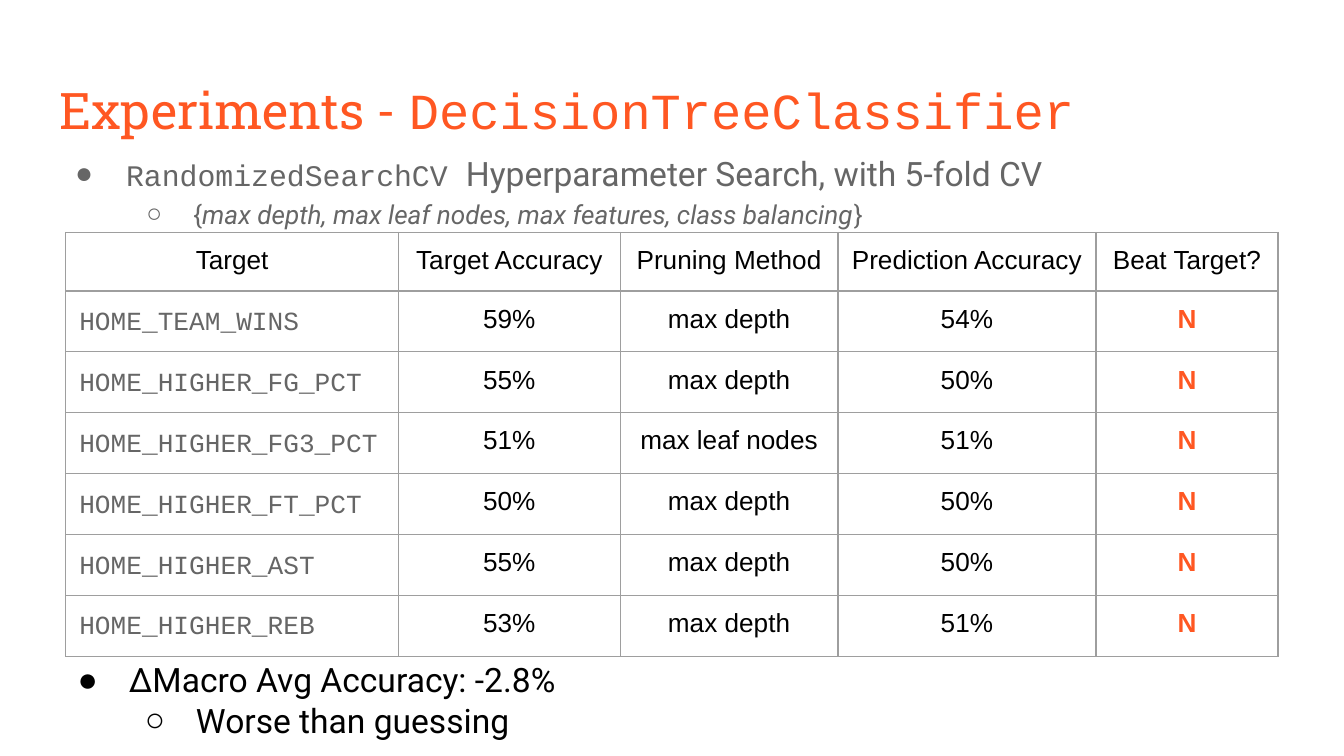
from dataclasses import dataclass

from lxml import etree
from pptx import Presentation, util as u
from pptx.dml.color import RGBColor
from pptx.enum import text
from pptx.oxml import ns

TITLE = [("Experiments - ", "title"), ("DecisionTreeClassifier", "title_code")]
SEARCH = [
    (0, [("RandomizedSearchCV ", "code"), ("Hyperparameter Search, with 5-fold CV", "lead")]),
    (1, [("{", "detail"),
         ("max depth, max leaf nodes, max features, class balancing", "detail_italic"),
         ("}", "detail")]),
]
CONCLUSION = [
    (0, [("ΔMacro Avg Accuracy: -2.8%", "result")]),
    (1, [("Worse than guessing", "result")]),
]
HEADER = ["Target", "Target Accuracy", "Pruning Method", "Prediction Accuracy", "Beat Target?"]
EXPERIMENTS = [
    ("HOME_TEAM_WINS", "59%", "max depth", "54%", "N"),
    ("HOME_HIGHER_FG_PCT", "55%", "max depth", "50%", "N"),
    ("HOME_HIGHER_FG3_PCT", "51%", "max leaf nodes", "51%", "N"),
    ("HOME_HIGHER_FT_PCT", "50%", "max depth", "50%", "N"),
    ("HOME_HIGHER_AST", "55%", "max depth", "50%", "N"),
    ("HOME_HIGHER_REB", "53%", "max depth", "51%", "N"),
]

PX = 4572
SLIDE_SIZE = (2000, 1125)
TITLE_BOX = (68, 98, 1864, 126)
SEARCH_BOX = (68, 199, 1864, 800)
CONCLUSION_BOX = (72, 961, 1856, 162)
TABLE_ORIGIN = (98, 346)
COLUMN_WIDTHS = [495, 330, 324, 384, 271]
ROW_HEIGHT = 87
INSET = 20
LEVEL_INDENT = 100


@dataclass(frozen=True)
class Style:
    font: str
    size: int
    color: str
    bold: bool = False
    italic: bool = False


ACCENT, GRAY, BLACK, BORDER = "FF5722", "666666", "000000", "9E9E9E"
BULLET_FONT = "Arial"
THEME = {
    "title": Style("Roboto Slab", 27, ACCENT),
    "title_code": Style("Courier New", 27, ACCENT),
    "code": Style("Courier New", 16, GRAY),
    "lead": Style("Roboto", 18, GRAY),
    "detail": Style("Roboto", 14, GRAY),
    "detail_italic": Style("Roboto", 14, GRAY, italic=True),
    "result": Style("Roboto", 18, BLACK),
    "cell": Style("Arial", 14, BLACK),
    "target": Style("Courier New", 14, GRAY),
    "verdict": Style("Arial", 14, ACCENT, bold=True),
}


def px(length):
    return u.Emu(length * PX)


def format_run(run, style_name):
    style = THEME[style_name]
    font = run.font
    font.name, font.size = style.font, u.Pt(style.size)
    font.bold, font.italic = style.bold, style.italic
    font.color.rgb = RGBColor.from_string(style.color)


def add_runs(paragraph, runs):
    for words, style_name in runs:
        run = paragraph.add_run()
        run.text = words
        format_run(run, style_name)


def add_child(parent, tag, **attributes):
    return etree.SubElement(parent, ns.qn(tag), attributes)


def set_insets(frame):
    frame.margin_left = frame.margin_right = px(INSET)
    frame.margin_top = frame.margin_bottom = px(INSET)


def prepare_frame(shape):
    frame = shape.text_frame
    frame.word_wrap = True
    frame.auto_size = text.MSO_AUTO_SIZE.NONE
    frame.vertical_anchor = text.MSO_ANCHOR.TOP
    set_insets(frame)
    return frame


def add_bullets(slide, box, items, hangings, spacing):
    frame = prepare_frame(slide.shapes.add_textbox(*map(px, box)))
    for index, (level, runs) in enumerate(items):
        paragraph = frame.paragraphs[0] if index == 0 else frame.add_paragraph()
        paragraph.level = level
        paragraph.line_spacing = spacing
        add_runs(paragraph, runs)
        properties = paragraph._p.get_or_add_pPr()
        properties.set("marL", str(px(LEVEL_INDENT * (level + 1))))
        properties.set("indent", str(px(-hangings[level])))
        color = add_child(properties, "a:buClr")
        add_child(color, "a:srgbClr", val=THEME[runs[-1][1]].color)
        add_child(properties, "a:buFont", typeface=BULLET_FONT)
        add_child(properties, "a:buChar", char="●○"[level])


def add_borders(cell):
    properties = cell._tc.get_or_add_tcPr()
    for side in ("a:lnL", "a:lnR", "a:lnT", "a:lnB"):
        line = add_child(properties, side, w=str(u.Pt(0.75)))
        add_child(add_child(line, "a:solidFill"), "a:srgbClr", val=BORDER)


def fill_cell(cell, words, style_name):
    set_insets(cell)
    add_borders(cell)
    cell.fill.background()
    paragraph = cell.text_frame.paragraphs[0]
    add_runs(paragraph, [(words, style_name)])
    if style_name == "target":
        paragraph.line_spacing = 1.15
        paragraph.space_after = u.Pt(12)
    else:
        paragraph.alignment = text.PP_ALIGN.CENTER


def add_results(slide):
    rows = [HEADER, *EXPERIMENTS]
    size = (sum(COLUMN_WIDTHS), ROW_HEIGHT * len(rows))
    frame = slide.shapes.add_table(len(rows), len(HEADER), *map(px, TABLE_ORIGIN + size))
    table = frame.table
    table.first_row = table.horz_banding = False
    for column, width in zip(table.columns, COLUMN_WIDTHS):
        column.width = px(width)
    body_styles = ["target", "cell", "cell", "cell", "verdict"]
    for row_index, values in enumerate(rows):
        table.rows[row_index].height = px(ROW_HEIGHT)
        styles = body_styles if row_index else ["cell"] * len(HEADER)
        for column_index, (words, style_name) in enumerate(zip(values, styles)):
            fill_cell(table.cell(row_index, column_index), words, style_name)


def add_title(slide):
    title = slide.shapes.title
    title.left, title.top, title.width, title.height = map(px, TITLE_BOX)
    paragraph = prepare_frame(title).paragraphs[0]
    paragraph.alignment = text.PP_ALIGN.LEFT
    add_runs(paragraph, TITLE)


def main():
    presentation = Presentation()
    presentation.slide_width, presentation.slide_height = map(px, SLIDE_SIZE)
    slide = presentation.slides.add_slide(presentation.slide_layouts[5])
    add_title(slide)
    add_bullets(slide, SEARCH_BOX, SEARCH, (76, 70), 1.15)
    add_results(slide)
    add_bullets(slide, CONCLUSION_BOX, CONCLUSION, (76, 76), 1.0)
    presentation.save("out.pptx")


if __name__ == "__main__":
    main()
